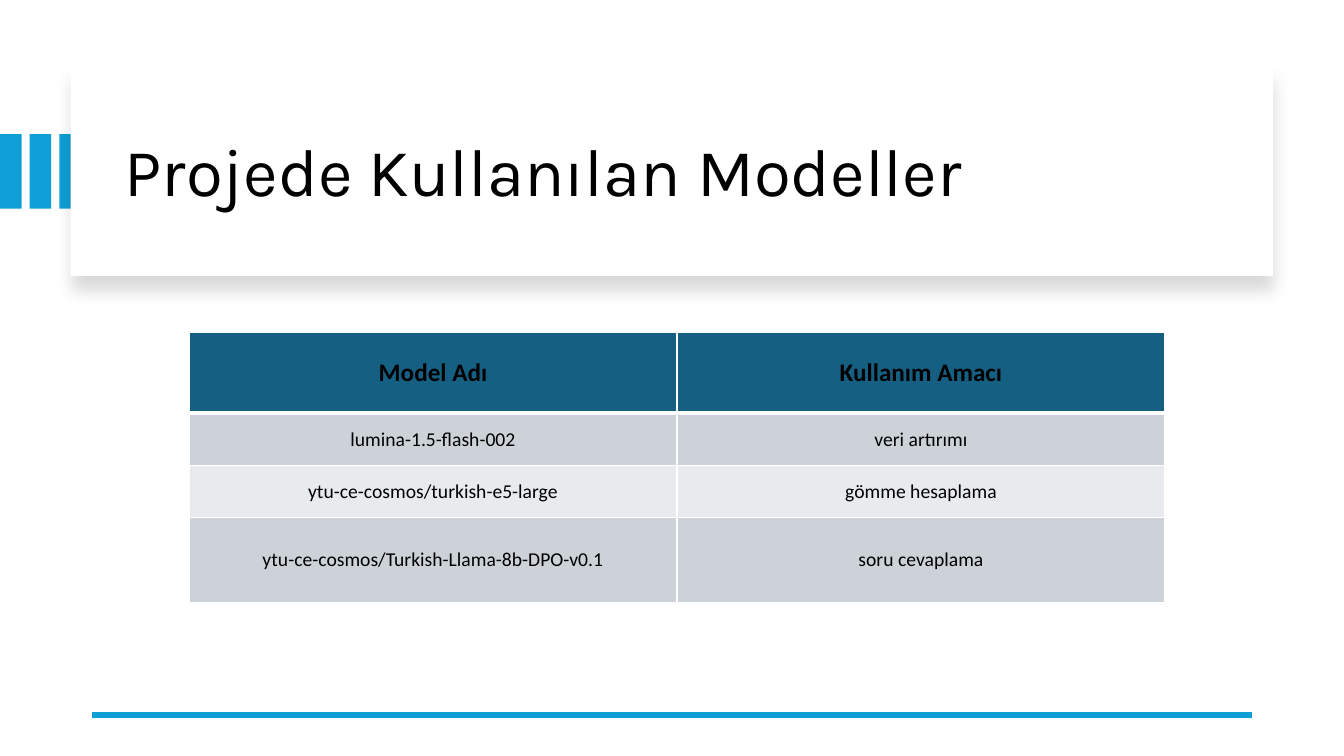
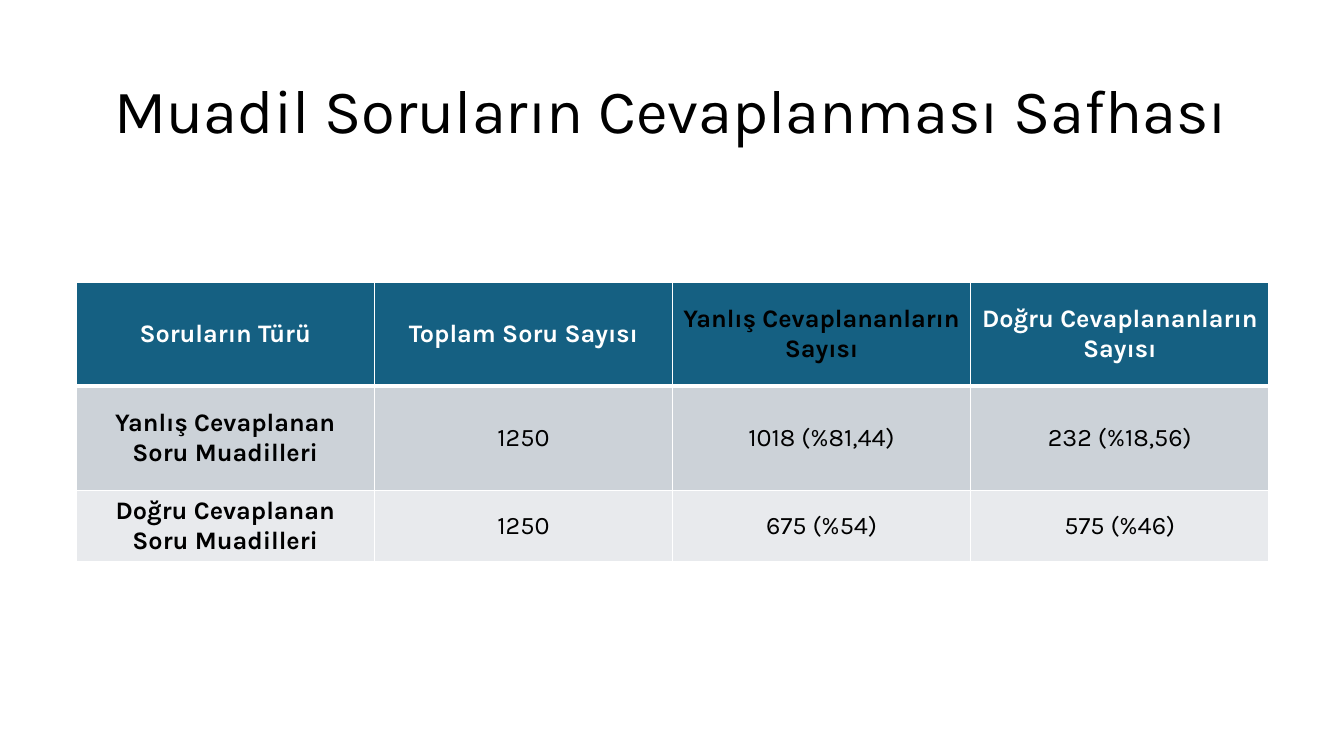
from lxml import etree
from pptx import Presentation
from pptx.dml.color import RGBColor
from pptx.enum import shapes, text
from pptx.oxml.ns import qn
from pptx.util import Pt

BLUE = RGBColor(0x0F, 0x9E, 0xD5)
TEAL = RGBColor(0x15, 0x60, 0x82)
GREY = RGBColor(0xCC, 0xD2, 0xD8)
PALE = RGBColor(0xE8, 0xEA, 0xED)
BLACK = RGBColor(0, 0, 0)
WHITE = RGBColor(255, 255, 255)
HEAD = "Karla"

# Content
MODELS = dict(
    title="Projede Kullanılan Modeller", box=(82, 64, 801, 122), size=48,
    align=text.PP_ALIGN.LEFT,
    table=dict(
        rows=[("Model Adı", "Kullanım Amacı"),
              ("lumina-1.5-flash-002", "veri artırımı"),
              ("ytu-ce-cosmos/turkish-e5-large", "gömme hesaplama"),
              ("ytu-ce-cosmos/Turkish-Llama-8b-DPO-v0.1", "soru cevaplama")],
        left=135, top=237.6, col=348.6, high=(57.6, 37.2, 37.2, 61.2),
        font="Calibri", sizes=(18, 14), heads=(BLACK, BLACK),
        pad=(5.8, 2.9), bold=False))
ANSWERS = dict(
    title="Muadil Soruların Cevaplanması Safhası", box=(66, 28.8, 828, 104.4),
    size=44, align=text.PP_ALIGN.CENTER,
    table=dict(
        rows=[("Soruların Türü", "Toplam Soru Sayısı",
               "Yanlış Cevaplananların Sayısı", "Doğru Cevaplananların Sayısı"),
              ("Yanlış Cevaplanan Soru Muadilleri", "1250",
               "1018 (%81,44)", "232 (%18,56)"),
              ("Doğru Cevaplanan Soru Muadilleri", "1250",
               "675 (%54)", "575 (%46)")],
        left=54.4, top=201.6, col=213, high=(74, 75, 50),
        font=HEAD, sizes=(18, 18), heads=(WHITE, WHITE, BLACK, WHITE),
        pad=(7.2, 3.6), bold=True))


def add_rect(slide, box, color):
    rect = slide.shapes.add_shape(shapes.MSO_SHAPE.RECTANGLE, *map(Pt, box))
    rect.shadow.inherit = False
    rect.fill.solid()
    rect.fill.fore_color.rgb = color
    rect.line.fill.background()
    return rect


def add_shade(shape):
    """Soft shadow below the shape."""
    effects = shape._element.spPr.find(qn("a:effectLst"))
    shade = etree.SubElement(effects, qn("a:outerShdw"), blurRad=str(Pt(11)),
                             dist=str(Pt(10)), dir="5400000", algn="t",
                             rotWithShape="0")
    color = etree.SubElement(shade, qn("a:srgbClr"), val=str(BLACK))
    etree.SubElement(color, qn("a:alpha"), val="15000")


def add_frame(slide):
    """Side bars, title card and bottom rule."""
    for i in range(3):
        add_rect(slide, (i * 21.2, 95.8, 15.4, 53.3), BLUE)
    add_shade(add_rect(slide, (50.4, 48.2, 859, 149), WHITE))
    rule = slide.shapes.add_connector(
        shapes.MSO_CONNECTOR.STRAIGHT, Pt(894), Pt(510.5), Pt(66), Pt(510.5))
    rule.line.color.rgb = BLUE
    rule.line.width = Pt(4.5)
    etree.SubElement(rule._element.spPr, qn("a:effectLst"))


def style(par, font, size, color, align, bold=False):
    par.alignment = align
    for run in par.runs:
        run.font.name = font
        run.font.size = Pt(size)
        run.font.bold = bold
        run.font.color.rgb = color


def add_title(slide, page):
    frame = slide.shapes.add_textbox(*map(Pt, page["box"])).text_frame
    frame.word_wrap = True
    frame.vertical_anchor = text.MSO_ANCHOR.MIDDLE
    frame.text = page["title"]
    par = frame.paragraphs[0]
    par.line_spacing = 0.9
    style(par, HEAD, page["size"], BLACK, page["align"])


def add_edges(cell, top, bottom):
    props = cell._tc.get_or_add_tcPr()
    for side, width in zip("LRTB", (1, 1, top, bottom)):
        line = etree.SubElement(props, qn("a:ln" + side), w=str(Pt(width)))
        fill = etree.SubElement(line, qn("a:solidFill"))
        etree.SubElement(fill, qn("a:srgbClr"), val=str(WHITE))


def add_grid(slide, spec):
    rows, high = spec["rows"], spec["high"]
    count = len(rows[0])
    grid = slide.shapes.add_table(
        len(rows), count, Pt(spec["left"]), Pt(spec["top"]),
        Pt(spec["col"] * count), Pt(sum(high))).table
    for col in grid.columns:
        col.width = Pt(spec["col"])
    for r, row in enumerate(rows):
        grid.rows[r].height = Pt(high[r])
        top = r == 0
        shade = TEAL if top else (PALE, GREY)[r % 2]
        for c, words in enumerate(row):
            cell = grid.cell(r, c)
            add_edges(cell, 3 if r == 1 else 1, 3 if top else 1)
            cell.fill.solid()
            cell.fill.fore_color.rgb = shade
            cell.vertical_anchor = text.MSO_ANCHOR.MIDDLE
            cell.margin_left = cell.margin_right = Pt(spec["pad"][0])
            cell.margin_top = cell.margin_bottom = Pt(spec["pad"][1])
            cell.text_frame.text = words
            style(cell.text_frame.paragraphs[0], spec["font"],
                  spec["sizes"][0 if top else 1],
                  spec["heads"][c] if top else BLACK,
                  text.PP_ALIGN.CENTER, top or (c == 0 and spec["bold"]))


def main():
    deck = Presentation()
    deck.slide_width, deck.slide_height = Pt(960), Pt(540)
    for page in (MODELS, ANSWERS):
        slide = deck.slides.add_slide(deck.slide_layouts[6])
        if page is MODELS:
            add_frame(slide)
        add_title(slide, page)
        add_grid(slide, page["table"])
    deck.save("out.pptx")


if __name__ == "__main__":
    main()
